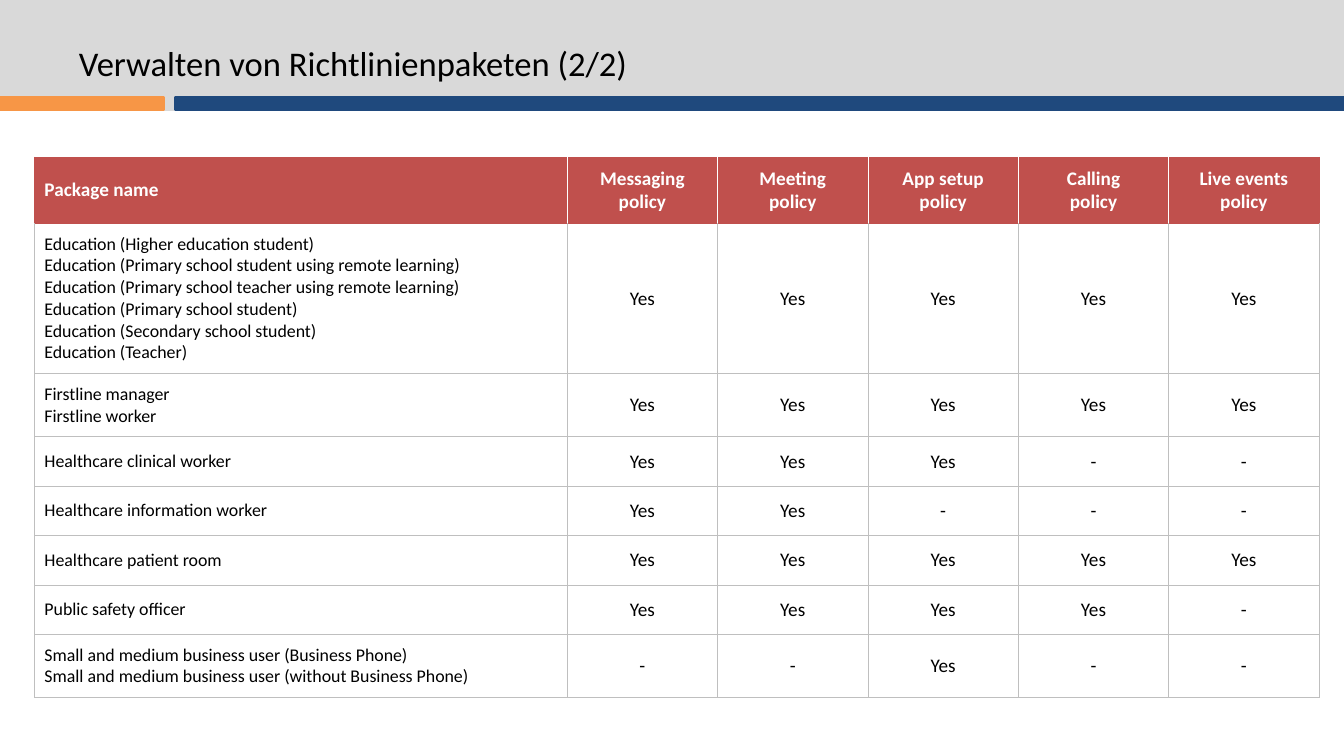
from dataclasses import dataclass

from lxml import etree
from pptx import Presentation
from pptx.dml.color import RGBColor
from pptx.enum.shapes import MSO_SHAPE
from pptx.enum.text import MSO_ANCHOR, PP_ALIGN
from pptx.oxml.ns import qn
from pptx.util import Inches, Pt

RECTANGLE = MSO_SHAPE.RECTANGLE
MIDDLE = MSO_ANCHOR.MIDDLE
LEFT, CENTER = PP_ALIGN.LEFT, PP_ALIGN.CENTER


@dataclass(frozen=True)
class Theme:
    """Colours, font and type sizes of the slide."""
    font: str = "Calibri"
    text: str = "000000"
    white: str = "FFFFFF"
    band: str = "D9D9D9"
    orange: str = "F79646"
    navy: str = "1F497D"
    header: str = "C0504D"
    grid: str = "BFBFBF"
    title_size: float = 25.2
    cell_size: float = 14
    package_size: float = 13
    band_line: float = 2
    grid_line: float = 0.5


THEME = Theme()

HEADINGS = ["Package name", "Messaging policy", "Meeting\npolicy",
            "App setup\npolicy", "Calling\npolicy", "Live events policy"]
EDUCATION = ["Higher education student",
             "Primary school student using remote learning",
             "Primary school teacher using remote learning",
             "Primary school student", "Secondary school student", "Teacher"]
PACKAGES = [
    ("\n".join(f"Education ({group})" for group in EDUCATION), "YYYYY", 1.52),
    ("Firstline manager\nFirstline worker", "YYYYY", 0.64),
    ("Healthcare clinical worker", "YYY--", 0.5),
    ("Healthcare information worker", "YY---", 0.5),
    ("Healthcare patient room", "YYYYY", 0.5),
    ("Public safety officer", "YYYY-", 0.5),
    ("Small and medium business user (Business Phone)\n"
     "Small and medium business user (without Business Phone)", "--Y--", 0.64),
]
HEADER_HEIGHT = 0.67
PACKAGE_WIDTH = 5.39


def write_text(text_frame, text, size, color, bold=False, align=LEFT):
    """Fill a text frame and format every run alike."""
    text_frame.word_wrap = True
    text_frame.text = text
    for paragraph in text_frame.paragraphs:
        paragraph.alignment = align
        for run in paragraph.runs:
            run.font.name = THEME.font
            run.font.size = Pt(size)
            run.font.bold = bold
            run.font.color.rgb = RGBColor.from_string(color)


def add_bar(slide, left, top, width, height, color):
    """Add a rectangle with fill and line of one colour."""
    shape = slide.shapes.add_shape(RECTANGLE, Inches(left), Inches(top),
                                   Inches(width), Inches(height))
    shape.shadow.inherit = False
    shape.fill.solid()
    shape.fill.fore_color.rgb = RGBColor.from_string(color)
    shape.line.color.rgb = RGBColor.from_string(color)
    shape.line.width = Pt(THEME.band_line)


def add_title_band(slide, left, top, width, height):
    """Add the grey band with the title and the two-coloured stripe below."""
    stripe_height, orange_width, navy_offset = 0.12, 1.66, 1.77
    stripe_top = top + height - stripe_height
    add_bar(slide, left, top, width, height, THEME.band)
    add_bar(slide, left, stripe_top, orange_width, stripe_height, THEME.orange)
    add_bar(slide, left + navy_offset, stripe_top, width - navy_offset,
            stripe_height, THEME.navy)
    title = slide.shapes.add_textbox(Inches(left + 0.7), Inches(top + 0.39),
                                     Inches(12.29), Inches(0.48))
    title.text_frame.vertical_anchor = MIDDLE
    write_text(title.text_frame, "Verwalten von Richtlinienpaketen (2/2)",
               THEME.title_size, THEME.text)


def set_borders(cell, colors):
    """Draw the left, right, top and bottom borders of a cell."""
    properties = cell._tc.get_or_add_tcPr()
    for side, color in zip("LRTB", colors):
        line = etree.SubElement(properties, qn(f"a:ln{side}"),
                                w=str(Pt(THEME.grid_line)))
        fill = etree.SubElement(line, qn("a:solidFill"))
        etree.SubElement(fill, qn("a:srgbClr"), val=color)


def format_cell(cell, text, row, column, last_column):
    """Write one cell and style it by its place in the table."""
    is_header, is_package = row == 0, column == 0
    cell.vertical_anchor = MIDDLE
    cell.margin_left = cell.margin_right = Inches(0.1)
    cell.margin_top = cell.margin_bottom = Inches(0.1)
    if is_header:
        set_borders(cell, [THEME.header if is_package else THEME.white,
                           THEME.header if column == last_column else THEME.white,
                           THEME.header, THEME.header])
        cell.fill.solid()
        cell.fill.fore_color.rgb = RGBColor.from_string(THEME.header)
    else:
        set_borders(cell, [THEME.grid, THEME.grid,
                           THEME.header if row == 1 else THEME.grid, THEME.grid])
        cell.fill.background()
    size = THEME.package_size if is_package and not is_header else THEME.cell_size
    write_text(cell.text_frame, text, size,
               THEME.white if is_header else THEME.text, bold=is_header,
               align=LEFT if is_package else CENTER)


def add_policy_table(slide, left, top, width):
    """Add the table of packages and the policies they include."""
    rows = [HEADINGS] + [
        [name] + ["Yes" if mark == "Y" else "-" for mark in marks]
        for name, marks, _ in PACKAGES]
    heights = [HEADER_HEIGHT] + [height for _, _, height in PACKAGES]
    last_column = len(HEADINGS) - 1
    table = slide.shapes.add_table(len(rows), len(HEADINGS), Inches(left), Inches(top),
                                   Inches(width), Inches(sum(heights))).table
    table.horz_banding = False
    policy_width = (width - PACKAGE_WIDTH) / last_column
    for index, column in enumerate(table.columns):
        column.width = Inches(policy_width if index else PACKAGE_WIDTH)
    for row, (texts, height) in enumerate(zip(rows, heights)):
        table.rows[row].height = Inches(height)
        for column, text in enumerate(texts):
            format_cell(table.cell(row, column), text, row, column, last_column)


def main():
    """Build the slide and save it."""
    presentation = Presentation()
    presentation.slide_width = Inches(13.6)
    presentation.slide_height = Inches(7.65)
    slide = presentation.slides.add_slide(presentation.slide_layouts[6])
    add_title_band(slide, 0, 0, 13.6, 1.11)
    add_policy_table(slide, 0.35, 1.59, 13)
    presentation.save("out.pptx")


if __name__ == "__main__":
    main()
